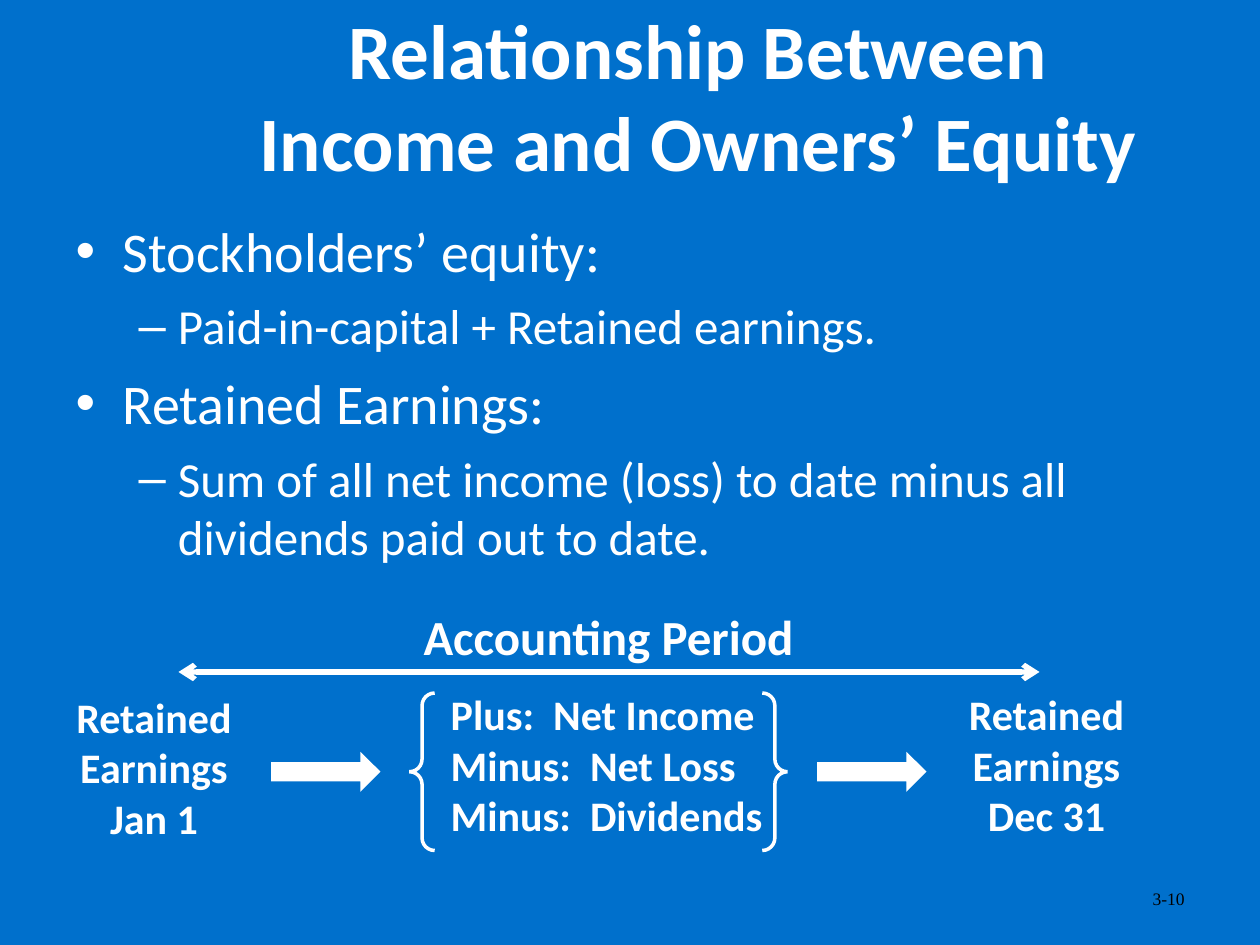
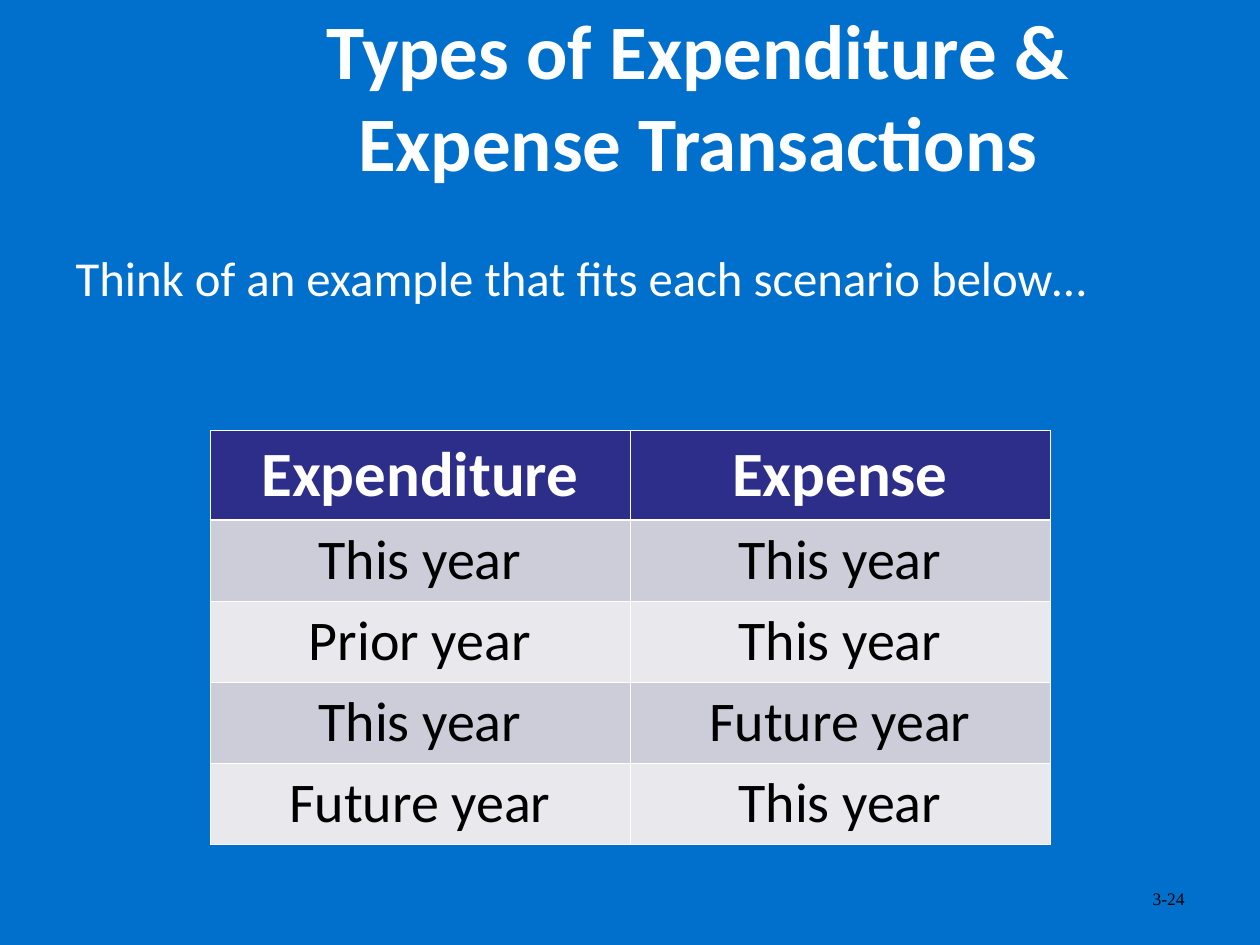
"""Build two accounting slides: retained earnings and types of expenditure."""
from lxml.etree import SubElement
from pptx import Presentation
from pptx.dml.color import RGBColor
from pptx.enum.shapes import MSO_CONNECTOR as Connector, MSO_SHAPE as Shape
from pptx.enum.text import MSO_AUTO_SIZE as AutoSize, PP_ALIGN as Align
from pptx.oxml.ns import qn
from pptx.util import Pt

WHITE, BLACK, BLUE = "FFFFFF", "000000", "0070CC"
NAVY, LILAC, PALE = "2D2D8A", "CDCDDA", "E8E8ED"
rgb = RGBColor.from_string


def write(paragraph, text, size, bold=False, colour=WHITE, face="Calibri"):
    run = paragraph.add_run()
    run.text = text
    run.font.size, run.font.bold, run.font.name = Pt(size), bold, face
    run.font.color.rgb = rgb(colour)


def label(slide, place, lines, align, **style):
    frame = slide.shapes.add_textbox(*map(Pt, place)).text_frame
    frame.word_wrap = True
    for index, line in enumerate(lines):
        paragraph = frame.add_paragraph() if index else frame.paragraphs[0]
        paragraph.alignment = align
        write(paragraph, line, **style)


deck = Presentation()
deck.slide_width, deck.slide_height = Pt(720), Pt(540)
background = deck.slide_master.background.fill
background.solid()
background.fore_color.rgb = rgb(BLUE)

layout = deck.slide_layouts[1]
heading = layout.placeholders[0]
heading.left, heading.top, heading.width, heading.height = map(Pt, (114, 0, 570, 108))

pages = [
    ("3-10", ["Relationship Between", "Income and Owners’ Equity"], (36, 120, 648, 210)),
    ("3-24", ["Types of Expenditure & Expense Transactions"], (36, 138, 648, 48)),
]
for number, title_lines, body_place in pages:
    slide = deck.slides.add_slide(layout)
    title = slide.shapes.title.text_frame.paragraphs[0]
    title.alignment = Align.CENTER
    for index, line in enumerate(title_lines):
        if index:
            title.add_line_break()
        write(title, line, 44, bold=True)
    body = slide.placeholders[1]
    body.left, body.top, body.width, body.height = map(Pt, body_place)
    body.text_frame.auto_size = AutoSize.NONE
    label(slide, (516, 504, 168, 37), [number], Align.RIGHT,
          size=10, colour=BLACK, face="Times New Roman")

equity, expenditure = deck.slides

points = [
    (0, "Stockholders’ equity:"),
    (1, "Paid-in-capital + Retained earnings."),
    (0, "Retained Earnings:"),
    (1, "Sum of all net income (loss) to date minus all dividends paid out to date."),
]
levels = [("•", 32, 8), ("–", 28, 7)]
outline = equity.placeholders[1].text_frame
for index, (level, text) in enumerate(points):
    bullet, size, gap = levels[level]
    point = outline.add_paragraph() if index else outline.paragraphs[0]
    point.level = level
    point.space_before = Pt(gap if index else 0)
    properties = point._p.get_or_add_pPr()
    SubElement(SubElement(properties, qn("a:buClr")), qn("a:srgbClr"), val=WHITE)
    SubElement(properties, qn("a:buChar"), char=bullet)
    write(point, text, size)

label(equity, (235, 343, 236, 41), ["Accounting Period"], Align.LEFT, size=28, bold=True)
period = equity.shapes.add_connector(Connector.STRAIGHT, Pt(102), Pt(384), Pt(594), Pt(384))
period.line.color.rgb = rgb(WHITE)
period.line.width = Pt(3)
stroke = period.line._get_or_add_ln()
for end in ("a:headEnd", "a:tailEnd"):
    SubElement(stroke, qn(end), type="arrow")
SubElement(period._element.spPr, qn("a:effectLst"))

steps = [
    ((32, 391.5, 112, 94), ["Retained", "Earnings", "Jan 1"], Align.CENTER),
    ((250.5, 390, 210, 94), ["Plus:  Net Income", "Minus:  Net Loss", "Minus:  Dividends"],
     Align.LEFT),
    ((542, 390, 112, 94), ["Retained", "Earnings", "Dec 31"], Align.CENTER),
]
for place, lines, align in steps:
    label(equity, place, lines, align, size=24, bold=True)

symbols = [
    (Shape.DOUBLE_BRACE, (234, 396, 216, 90)),
    (Shape.RIGHT_ARROW, (156, 432, 60, 18)),
    (Shape.RIGHT_ARROW, (468, 432, 60, 18)),
]
for kind, place in symbols:
    symbol = equity.shapes.add_shape(kind, *map(Pt, place))
    symbol.shadow.inherit = False
    symbol.line.color.rgb = rgb(WHITE)
    symbol.line.width = Pt(2)
    SubElement(symbol.line._get_or_add_ln(), qn("a:miter"), lim="800000")
    if kind == Shape.DOUBLE_BRACE:
        symbol.adjustments[0] = 0.08
        symbol.fill.background()
    else:
        symbol.fill.solid()
        symbol.fill.fore_color.rgb = rgb(WHITE)

prompt = expenditure.placeholders[1].text_frame.paragraphs[0]
prompt.space_before = Pt(0)
SubElement(prompt._p.get_or_add_pPr(), qn("a:buNone"))
write(prompt, "Think of an example that fits each scenario below…", 27.9)

scenarios = [
    ("Expenditure", "Expense"),
    ("This year", "This year"),
    ("Prior year", "This year"),
    ("This year", "Future year"),
    ("Future year", "This year"),
]
grid = expenditure.shapes.add_table(5, 2, Pt(120), Pt(246), Pt(480), Pt(236.6)).table
for row, scenario in enumerate(scenarios):
    is_header = row == 0
    grid.rows[row].height = Pt(51 if is_header else 46.4)
    for column, text in enumerate(scenario):
        cell = grid.cell(row, column)
        properties = cell._tc.get_or_add_tcPr()
        for side in ("lnL", "lnR", "lnT", "lnB"):
            under_header = (row, side) in ((0, "lnB"), (1, "lnT"))
            border = SubElement(properties, qn("a:" + side),
                                w=str(Pt(1.47 if under_header else 0.45)))
            SubElement(SubElement(border, qn("a:solidFill")), qn("a:srgbClr"), val=WHITE)
        cell.fill.solid()
        cell.fill.fore_color.rgb = rgb(NAVY if is_header else LILAC if row % 2 else PALE)
        entry = cell.text_frame.paragraphs[0]
        entry.alignment = Align.CENTER
        write(entry, text, 36 if is_header else 32, is_header, WHITE if is_header else BLACK)

deck.save("out.pptx")
